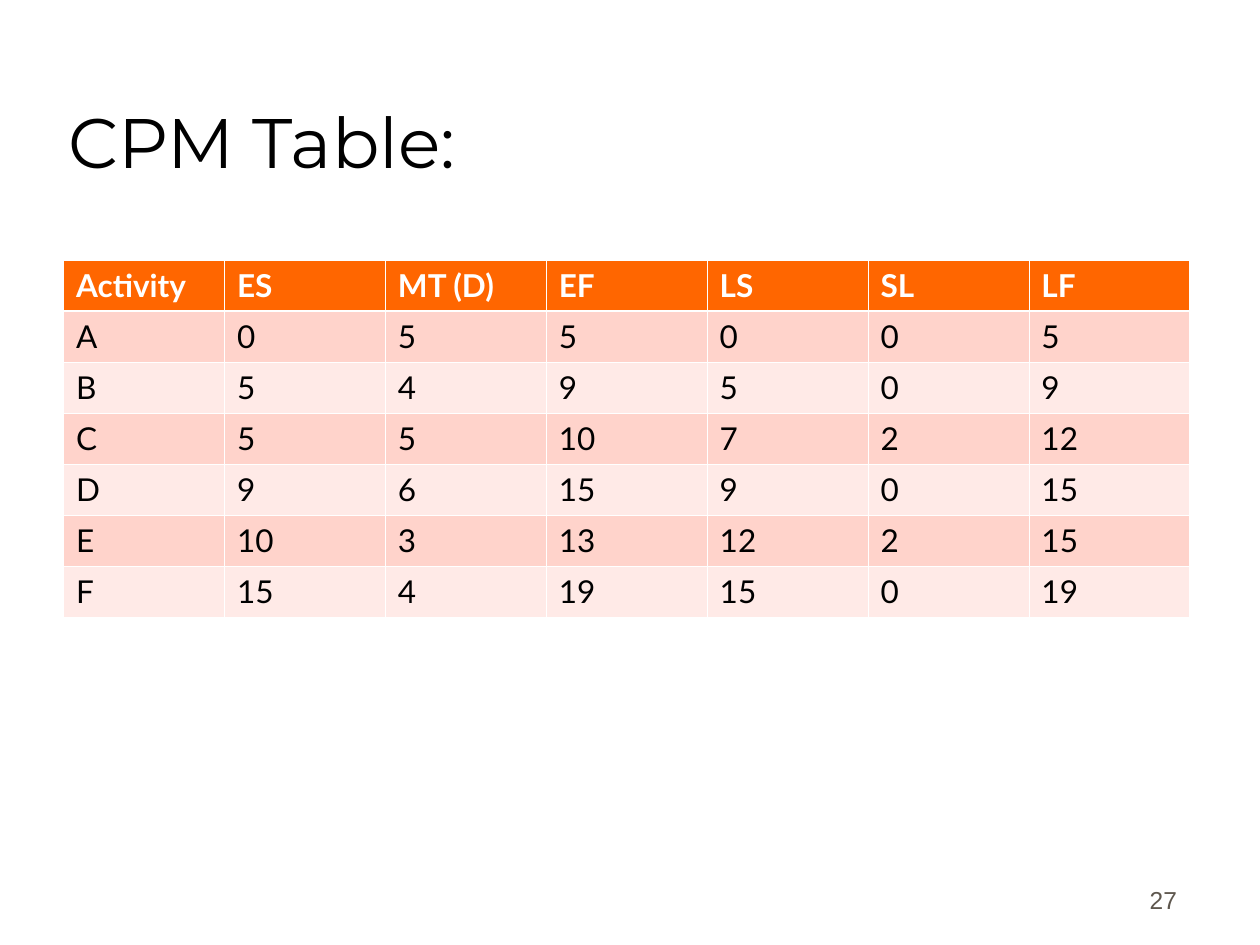
import pptx
import pptx.dml.color
import pptx.enum.text
import pptx.oxml
import pptx.oxml.ns
import pptx.util

COLS, ROWS = 100, 75
HEAD = ["Activity", "ES", "MT (D)", "EF", "LS", "SL", "LF"]
TASKS = [
    ["A", 0, 5, 5, 0, 0, 5],
    ["B", 5, 4, 9, 5, 0, 9],
    ["C", 5, 5, 10, 7, 2, 12],
    ["D", 9, 6, 15, 9, 0, 15],
    ["E", 10, 3, 13, 12, 2, 15],
    ["F", 15, 4, 19, 15, 0, 19],
]


def color(code):
    return pptx.dml.color.RGBColor.from_string(code)


class Deck:
    black, white, gray = "000000", "FFFFFF", "5E574E"
    orange = "FF6600"
    bands = ["FFD3CB", "FFEAE7"]
    thin, thick = 0.45, 1.47

    def __init__(self):
        self.file = pptx.Presentation()
        self.file.slide_width = pptx.util.Inches(10)
        self.file.slide_height = pptx.util.Inches(7.5)
        self.slide = self.file.slides.add_slide(self.file.slide_layouts[5])

    def box(self, col, row, wide, high):
        x = self.file.slide_width / COLS
        y = self.file.slide_height / ROWS
        return [round(v) for v in (col * x, row * y, wide * x, high * y)]

    def label(self, frame, text, size, face, tint, bold=False):
        frame.text = str(text)
        line = frame.paragraphs[0]
        font = line.font
        font.size, font.name, font.bold = pptx.util.Pt(size), face, bold
        font.color.rgb = color(tint)
        return line

    def title(self, text, area):
        shape = self.slide.shapes.title
        shape.left, shape.top, shape.width, shape.height = self.box(*area)
        frame = shape.text_frame
        frame.auto_size = pptx.enum.text.MSO_AUTO_SIZE.NONE
        frame.vertical_anchor = pptx.enum.text.MSO_ANCHOR.BOTTOM
        line = self.label(frame, text, 40, "Montserrat", self.black)
        line.alignment = pptx.enum.text.PP_ALIGN.LEFT

    def number(self, text, area):
        frame = self.slide.shapes.add_textbox(*self.box(*area)).text_frame
        frame.word_wrap = True
        frame.vertical_anchor = pptx.enum.text.MSO_ANCHOR.BOTTOM
        line = self.label(frame, text, 14, "Arial", self.gray)
        line.alignment = pptx.enum.text.PP_ALIGN.RIGHT

    def border(self, cell, side, width):
        space = pptx.oxml.ns.nsdecls("a")
        cell._tc.get_or_add_tcPr().append(pptx.oxml.parse_xml(
            f'<a:ln{side} {space} w="{int(pptx.util.Pt(width))}"><a:solidFill>'
            f'<a:srgbClr val="{self.white}"/></a:solidFill></a:ln{side}>'))

    def table(self, data, area):
        place = self.box(*area)
        grid = self.slide.shapes.add_table(
            len(data), len(data[0]), *place).table
        for r, row in enumerate(data):
            fill = self.bands[(r - 1) % 2] if r else self.orange
            tint = self.black if r else self.white
            top = self.thick if r == 1 else self.thin
            base = self.thin if r else self.thick
            for c, text in enumerate(row):
                cell = grid.cell(r, c)
                self.label(cell.text_frame, text, 18, "Lato", tint, r == 0)
                for side, width in zip("LRTB", (self.thin, self.thin, top, base)):
                    self.border(cell, side, width)
                cell.fill.solid()
                cell.fill.fore_color.rgb = color(fill)


def main():
    deck = Deck()
    deck.title("CPM Table:", (4.4, 2.5, 85, 12.5))
    deck.table([HEAD] + TASKS, (5.05, 20.65, 89.4, 28.35))
    deck.number("27", (73.6, 68.1, 20.8, 5))
    deck.file.save("out.pptx")


if __name__ == "__main__":
    main()
